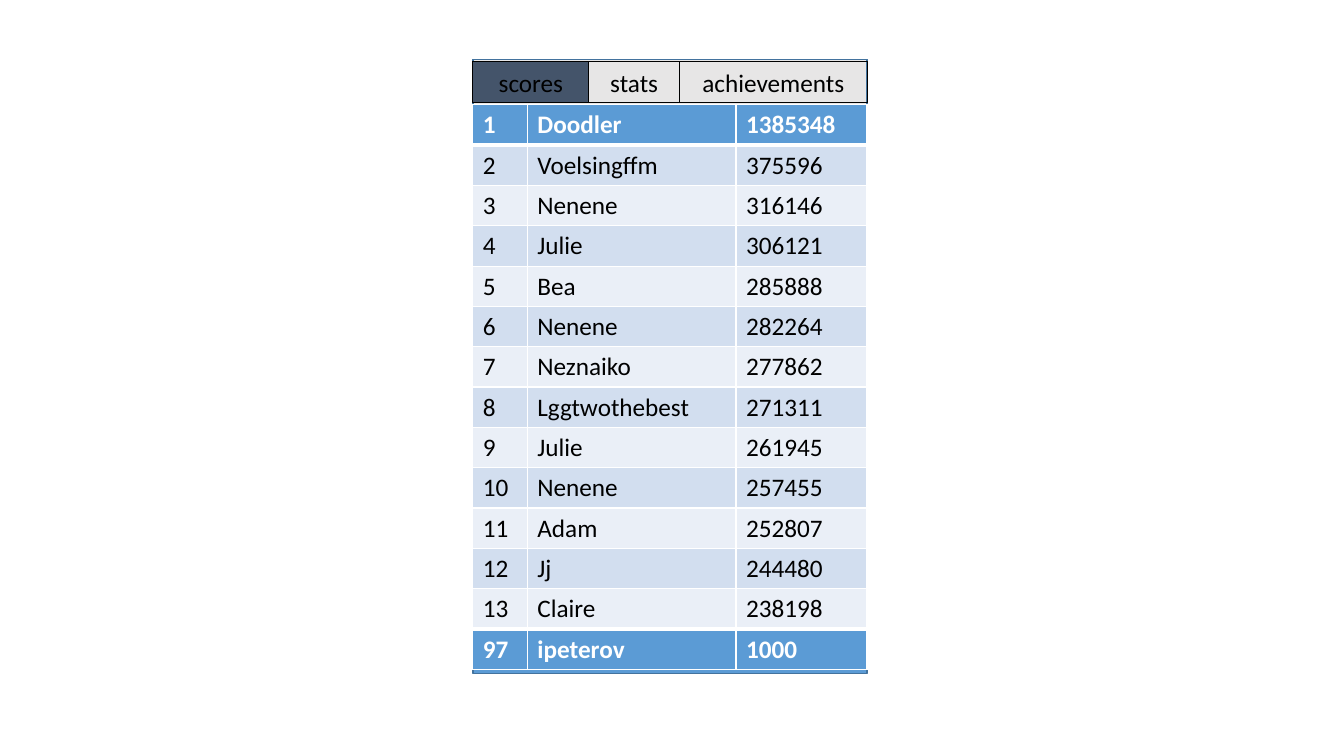
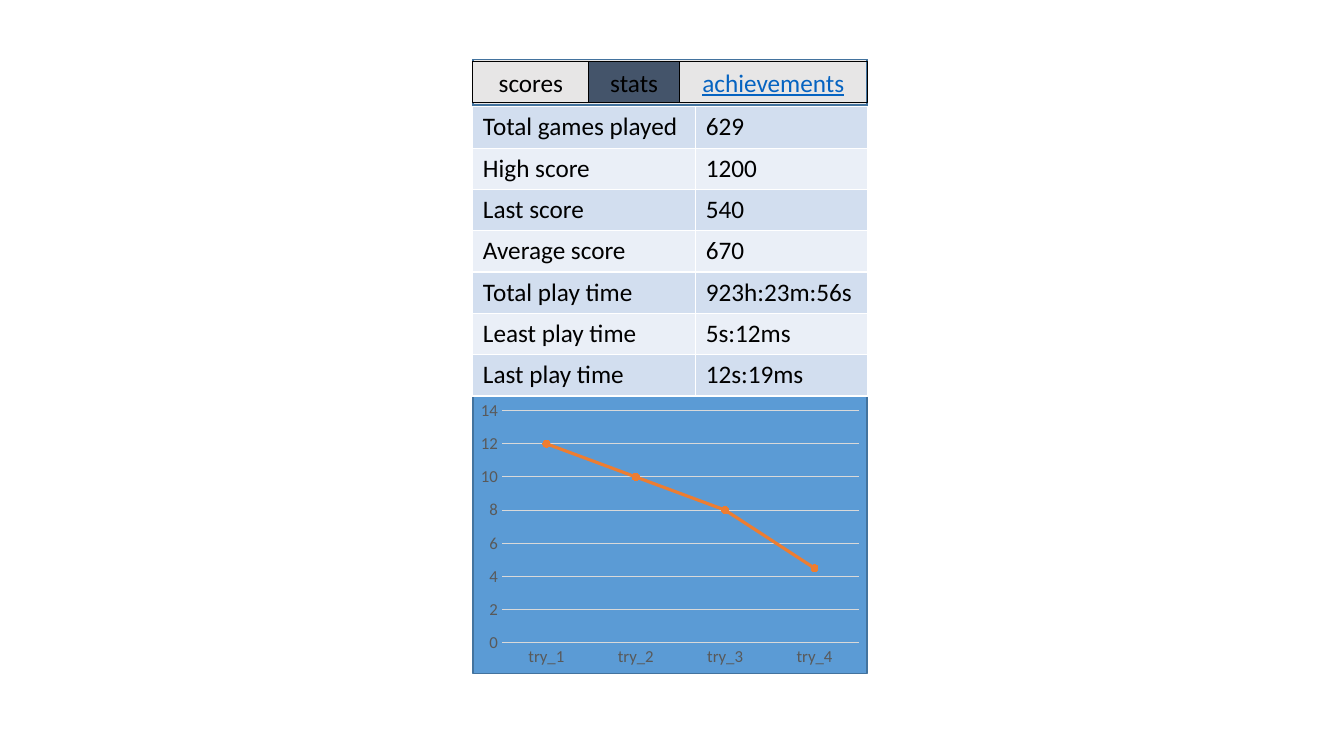
from pptx import Presentation
from pptx.chart.data import CategoryChartData
from pptx.dml.color import RGBColor
from pptx.enum.chart import XL_CHART_TYPE, XL_MARKER_STYLE, XL_TICK_MARK
from pptx.enum.shapes import MSO_SHAPE
from pptx.enum.text import MSO_ANCHOR, PP_ALIGN
from pptx.oxml import parse_xml
from pptx.oxml.ns import nsdecls
from pptx.util import Inches, Pt

HUES = {
    "blue": "5B9BD5", "edge": "43739E", "grey": "E7E6E6", "slate": "44546A",
    "dark": "D2DEEF", "light": "EAEFF7", "black": "000000", "white": "FFFFFF",
    "link": "0563C1", "axis": "595959", "grid": "D9D9D9", "orange": "ED7D31",
    "gold": "FFC000", "green": "70AD47",
}
INK = {name: RGBColor.from_string(hue) for name, hue in HUES.items()}
FONT = "Calibri"
LEFT, TOP, WIDE = 4.69, 0.59, 3.91
TABS = [("scores", 1.15), ("stats", 0.9), ("achievements", 1.86)]


def box(slide, left, top, wide, high, fill, edge, size):
    shape = slide.shapes.add_shape(
        MSO_SHAPE.RECTANGLE, Inches(left), Inches(top), Inches(wide), Inches(high))
    shape.shadow.inherit = False
    if fill:
        shape.fill.solid()
        shape.fill.fore_color.rgb = INK[fill]
    else:
        shape.fill.background()
    shape.line.color.rgb = INK[edge]
    shape.line.width = Pt(size)
    return shape


def grid(slide, top, high, cols, rows, heads):
    table = slide.shapes.add_table(
        len(rows), len(cols), Inches(LEFT), Inches(top),
        Inches(WIDE), Inches(high * len(rows))).table
    table.first_row = table.horz_banding = False
    for col, wide in zip(table.columns, cols):
        col.width = Inches(wide)
    for i, row in enumerate(rows):
        table.rows[i].height = Inches(high)
        head = i in heads
        tint = "blue" if head else ("dark", "light")[(i + bool(heads)) % 2]
        above = 3 if i and (head or i - 1 in heads) else 1
        below = 3 if i < len(rows) - 1 and (head or i + 1 in heads) else 1
        for j, text in enumerate(row):
            cell = table.cell(i, j)
            cell.text_frame.text = text
            cell.margin_top, cell.margin_bottom = Inches(0.05), Inches(0.04)
            cell.fill.solid()
            cell.fill.fore_color.rgb = INK[tint]
            font = cell.text_frame.paragraphs[0].runs[0].font
            font.name, font.size, font.bold = FONT, Pt(18), head
            font.color.rgb = INK["white" if head else "black"]
            sides = zip("LRTB", (1, 1, above, below))
            for k, (side, size) in enumerate(sides):
                cell._tc.get_or_add_tcPr().insert(k, parse_xml(
                    f'<a:ln{side} {nsdecls("a")} w="{Pt(size)}"><a:solidFill>'
                    f'<a:srgbClr val="{HUES["white"]}"/></a:solidFill></a:ln{side}>'))


deck = Presentation()
deck.slide_width, deck.slide_height = Inches(13.33), Inches(7.5)

for fills, last in [(("slate", None, None), "black"), (("grey", "slate", None), "link")]:
    slide = deck.slides.add_slide(deck.slide_layouts[6])
    box(slide, LEFT, TOP, WIDE, 6.09, "blue", "edge", 1)
    box(slide, LEFT, TOP, WIDE, 0.45, "grey", "edge", 1)
    left = LEFT
    for (text, wide), fill in zip(TABS, fills):
        tab = box(slide, left, 0.61, wide, 0.41, fill, "black", 0.75)
        left += wide
        frame = tab.text_frame
        frame.text = text
        frame.vertical_anchor = MSO_ANCHOR.MIDDLE
        frame.paragraphs[0].alignment = PP_ALIGN.CENTER
        font = frame.paragraphs[0].runs[0].font
        font.name, font.size = FONT, Pt(18)
        font.color.rgb = INK["black"]
    font.color.rgb = INK[last]
    font.underline = last == "link"

scores, stats = deck.slides

ranks = [
    ("1", "Doodler", "1385348"),
    ("2", "Voelsingffm", "375596"),
    ("3", "Nenene", "316146"),
    ("4", "Julie", "306121"),
    ("5", "Bea", "285888"),
    ("6", "Nenene", "282264"),
    ("7", "Neznaiko", "277862"),
    ("8", "Lggtwothebest", "271311"),
    ("9", "Julie", "261945"),
    ("10", "Nenene", "257455"),
    ("11", "Adam", "252807"),
    ("12", "Jj", "244480"),
    ("13", "Claire", "238198"),
    ("97", "ipeterov", "1000"),
]
grid(scores, 1.04, 0.4, (0.54, 2.07, 1.3), ranks, (0, len(ranks) - 1))

facts = [
    ("Total games played", "629"),
    ("High score", "1200"),
    ("Last score", "540"),
    ("Average score", "670"),
    ("Total play time", "923h:23m:56s"),
    ("Least play time", "5s:12ms"),
    ("Last play time", "12s:19ms"),
]
grid(stats, 1.06, 0.41, (2.21, 1.7), facts, ())

data = CategoryChartData()
data.categories = ["try_1", "try_2", "try_3", "try_4"]
data.add_series("Series 1", (12, 10, 8, 4.5))
for name in ("Series 2", "Series 3"):
    data.add_series(name, [None] * 4)
chart = stats.shapes.add_chart(
    XL_CHART_TYPE.LINE_MARKERS, Inches(LEFT), Inches(3.92),
    Inches(WIDE), Inches(2.75), data).chart
chart.has_legend = chart.has_title = False
chart.font.name, chart.font.size = FONT, Pt(12)
chart.font.color.rgb = INK["axis"]
chart.plots[0].vary_by_categories = False

for axis in (chart.category_axis, chart.value_axis):
    axis.major_tick_mark = axis.minor_tick_mark = XL_TICK_MARK.NONE
    axis.tick_labels.font.name = FONT
    axis.tick_labels.font.size = Pt(12)
    axis.tick_labels.font.color.rgb = INK["axis"]
value = chart.value_axis
value.minimum_scale, value.maximum_scale, value.major_unit = 0, 14, 2
value.has_major_gridlines = True
value.format.line.fill.background()
for line in (chart.category_axis.format.line, value.major_gridlines.format.line):
    line.color.rgb = INK["grid"]
    line.width = Pt(0.75)

for tries, hue in zip(chart.plots[0].series, ("orange", "gold", "green")):
    tries.smooth = False
    tries.format.line.color.rgb = INK[hue]
    tries.format.line.width = Pt(2.25)
    mark = tries.marker
    mark.style, mark.size = XL_MARKER_STYLE.CIRCLE, 5
    mark.format.fill.solid()
    mark.format.fill.fore_color.rgb = INK[hue]
    mark.format.line.color.rgb = INK[hue]

deck.save("out.pptx")
